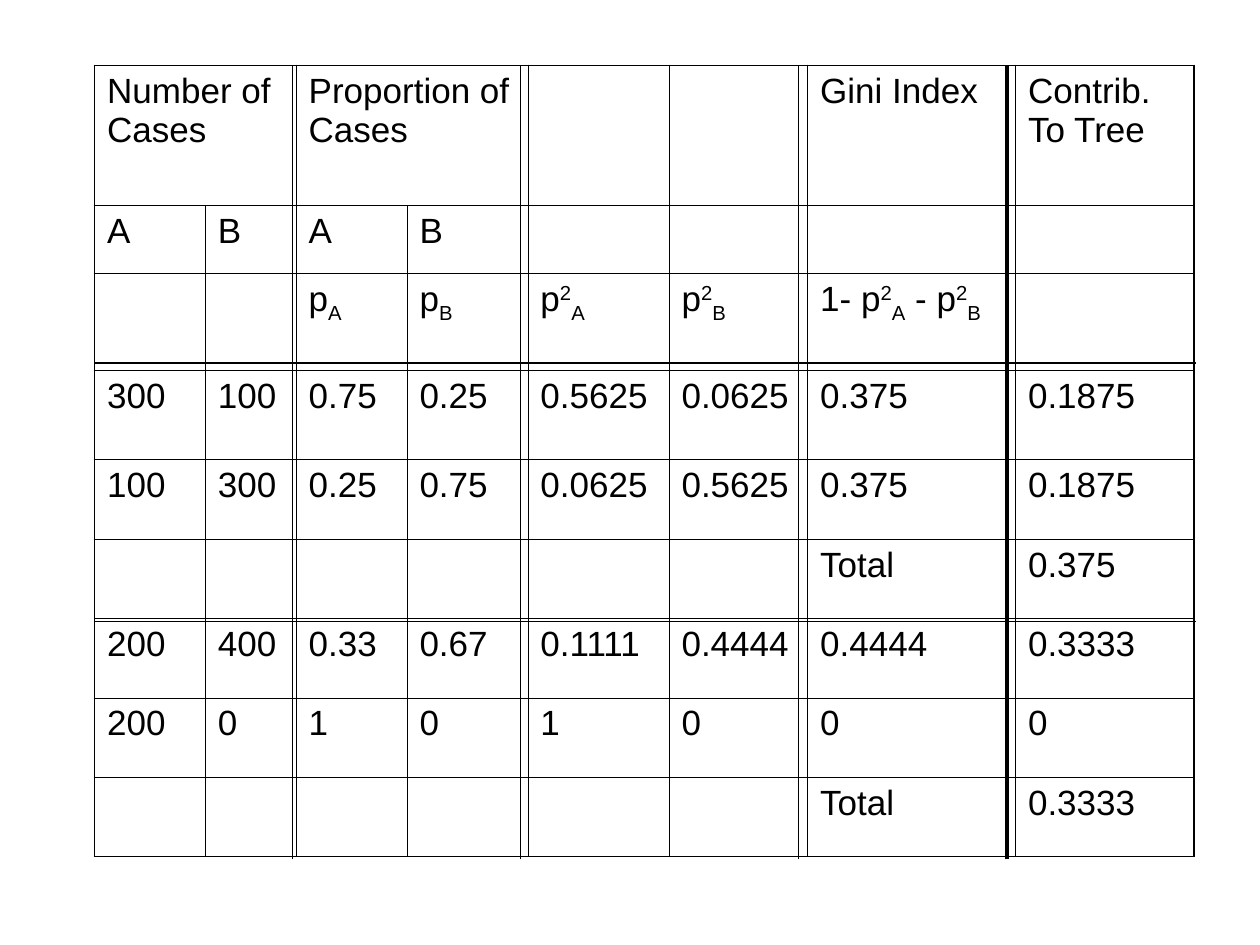
from lxml import etree
from pptx import Presentation
from pptx.dml.color import RGBColor
from pptx.enum.shapes import MSO_CONNECTOR
from pptx.oxml.ns import qn
from pptx.util import Inches, Pt

COLORS = {"ink": "000000"}
SHIFTS = {"^": "30000", "_": "-25000"}


def write_text(cell, text, size=20, font="Arial", color="ink", before=5):
    """Write text in a cell; ^ raises and _ lowers the character that follows."""
    p = cell.text_frame.paragraphs[0]
    p.space_before = Pt(before)
    pieces = [["", ""]]
    for mark in text:
        if mark in SHIFTS:
            pieces.append([mark, ""])
        elif pieces[-1][0] and pieces[-1][1]:
            pieces.append(["", mark])
        else:
            pieces[-1][1] += mark
    for shift, part in pieces:
        if not part:
            continue
        r = p.add_run()
        r.text = part
        r.font.size = Pt(size)
        r.font.name = font
        r.font.color.rgb = RGBColor.from_string(COLORS[color])
        if shift:
            r.font._element.set("baseline", SHIFTS[shift])


def add_border(cell, side, width, color="ink"):
    tcPr = cell._tc.get_or_add_tcPr()
    ln = etree.SubElement(tcPr, qn(f"a:ln{side}"), w=str(Pt(width)))
    fill = etree.SubElement(ln, qn("a:solidFill"))
    etree.SubElement(fill, qn("a:srgbClr"), val=COLORS[color])


prs = Presentation()
prs.slide_width, prs.slide_height = Inches(10), Inches(7.5)
s = prs.slides.add_slide(prs.slide_layouts[6])

# Gini index table
LEFT, TOP, WIDTH, HEIGHT = 0.75, 0.52, 8.74, 6.28
col_widths = [0.88, 0.72, 0.88, 0.96, 1.12, 1.1, 1.65, 1.42]
row_heights = [1.11, 0.54, 0.77, 0.71] + [0.63] * 5
rows = [
    ["Number of Cases", "", "Proportion of Cases", "", "", "", "Gini Index", "Contrib. To Tree"],
    ["A", "B", "A", "B", "", "", "", ""],
    ["", "", "p_A", "p_B", "p^2_A", "p^2_B", "1- p^2_A - p^2_B", ""],
    ["300", "100", "0.75", "0.25", "0.5625", "0.0625", "0.375", "0.1875"],
    ["100", "300", "0.25", "0.75", "0.0625", "0.5625", "0.375", "0.1875"],
    ["", "", "", "", "", "", "Total", "0.375"],
    ["200", "400", "0.33", "0.67", "0.1111", "0.4444", "0.4444", "0.3333"],
    ["200", "0", "1", "0", "1", "0", "0", "0"],
    ["", "", "", "", "", "", "Total", "0.3333"],
]
last_row, last_col = len(rows) - 1, len(col_widths) - 1
table = s.shapes.add_table(len(rows), len(col_widths), Inches(LEFT), Inches(TOP),
                           Inches(WIDTH), Inches(HEIGHT)).table
table.first_row = table.horz_banding = False
for column, width in zip(table.columns, col_widths):
    column.width = Inches(width)
for row, height in zip(table.rows, row_heights):
    row.height = Inches(height)
for first in (0, 2):
    table.cell(0, first).merge(table.cell(0, first + 1))

# Cell text and borders, heavier around the outside
for i, texts in enumerate(rows):
    for j, text in enumerate(texts):
        cell = table.cell(i, j)
        if cell.is_spanned:
            continue
        write_text(cell, text)
        outer = {"L": j == 0, "R": j == last_col, "T": i == 0, "B": i == last_row}
        for side, is_outer in outer.items():
            add_border(cell, side, 1.08 if is_outer else 0.45)
        cell.fill.background()

# Extra rules that double the main divisions
RIGHT, BOTTOM = LEFT + WIDTH, 6.82
rules = [(LEFT, 2.88, RIGHT, 2.88, 0.75)]
rules += [(x, BOTTOM, x, TOP, w)
          for x, w in ((2.32, 0.75), (4.13, 0.75), (6.34, 0.75), (7.99, 2.25))]
rules.append((LEFT, 4.93, RIGHT, 4.93, 0.75))
for x1, y1, x2, y2, width in rules:
    rule = s.shapes.add_connector(MSO_CONNECTOR.STRAIGHT, Inches(x1), Inches(y1),
                                  Inches(x2), Inches(y2))
    rule.line.color.rgb = RGBColor.from_string(COLORS["ink"])
    rule.line.width = Pt(width)
    etree.SubElement(rule._element.spPr, qn("a:effectLst"))

prs.save("out.pptx")
